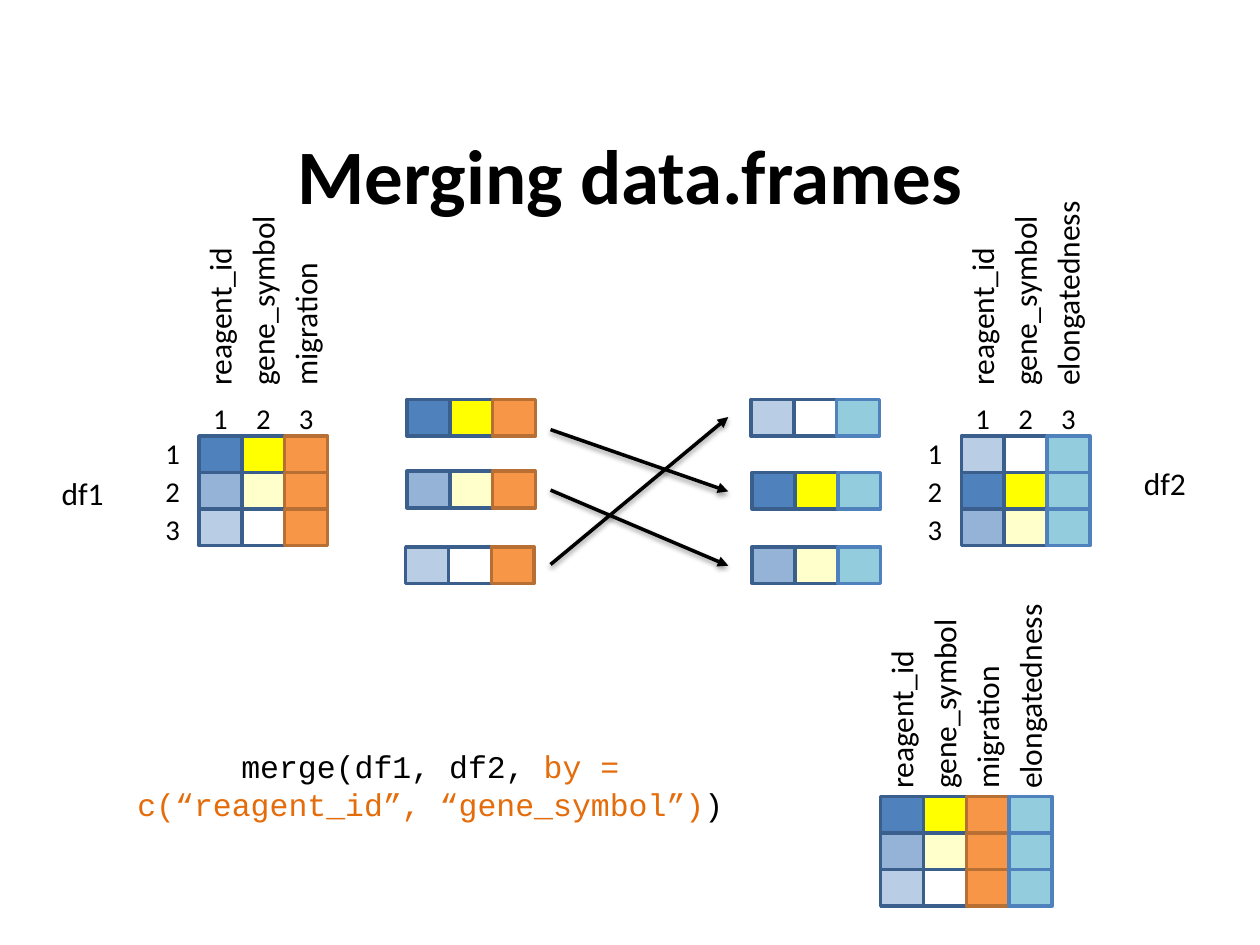
from lxml.etree import SubElement
from pptx import Presentation
from pptx.dml.color import RGBColor
from pptx.enum.shapes import MSO_CONNECTOR, MSO_SHAPE
from pptx.enum.text import MSO_ANCHOR, PP_ALIGN
from pptx.oxml.ns import qn
from pptx.util import Inches, Pt

BLACK = RGBColor(0x00, 0x00, 0x00)
WHITE = RGBColor(0xFF, 0xFF, 0xFF)
BLUE = RGBColor(0x4F, 0x81, 0xBD)
MID = RGBColor(0x95, 0xB3, 0xD7)
PALE = RGBColor(0xB9, 0xCD, 0xE5)
YELLOW = RGBColor(0xFF, 0xFF, 0x00)
CREAM = RGBColor(0xFF, 0xFF, 0xCC)
ORANGE = RGBColor(0xF7, 0x96, 0x46)
AQUA = RGBColor(0x93, 0xCD, 0xDD)
NAVY = RGBColor(0x3A, 0x5F, 0x8C)
RUST = RGBColor(0xB7, 0x6F, 0x34)
AMBER = RGBColor(0xE4, 0x6C, 0x0A)

EDGES = {ORANGE: RUST, AQUA: BLUE}
CELL_W, CELL_H = 0.34, 0.29

TITLE = "Merging data.frames"
KEYS = [(BLUE, YELLOW), (MID, CREAM), (PALE, WHITE)]
LEFT = [key + (ORANGE,) for key in KEYS]
RIGHT = [KEYS[i] + (AQUA,) for i in (2, 0, 1)]
MERGED = [row + (AQUA,) for row in LEFT]

WIDTHS = {"reagent_id": 1.5, "gene_symbol": 1.71,
          "migration": 1.5, "elongatedness": 1.71}
FRAMES = [
    (1.58, 3.46, LEFT, ["reagent_id", "gene_symbol", "migration"], True),
    (7.63, 3.46, RIGHT, ["reagent_id", "gene_symbol", "elongatedness"], True),
    (6.99, 6.32, MERGED,
     ["reagent_id", "gene_symbol", "migration", "elongatedness"], False),
]
STRIPS = [
    (3.23, 3.17, LEFT[0]), (3.23, 3.74, LEFT[1]), (3.22, 4.34, LEFT[2]),
    (5.96, 3.17, RIGHT[0]), (5.97, 3.75, RIGHT[1]), (5.97, 4.34, RIGHT[2]),
]
ARROWS = [(3.41, 3.9), (4.48, 3.31), (3.89, 4.49)]
NAMES = [("df1", 0.39, 3.71), ("df2", 8.98, 3.63)]
CODE = [("merge(df1, df2, ", BLACK),
        ("by = c(“reagent_id”, “gene_symbol”)", AMBER),
        (")", BLACK)]


def style(run, size, color=BLACK, font="Calibri", bold=False):
    run.font.name = font
    run.font.size = Pt(size)
    run.font.bold = bold
    run.font.color.rgb = color


def add_box(slide, x, y, w, h):
    box = slide.shapes.add_textbox(Inches(x), Inches(y), Inches(w), Inches(h))
    box.text_frame.word_wrap = True
    return box


def add_label(slide, text, x, y, w, h=0.4, size=18, align=PP_ALIGN.LEFT):
    box = add_box(slide, x, y, w, h)
    box.text_frame.text = text
    para = box.text_frame.paragraphs[0]
    para.alignment = align
    style(para.runs[0], size)
    return box


def add_digit(slide, num, x, y):
    add_label(slide, str(num), x, y, CELL_W, 0.37, 16.4, PP_ALIGN.CENTER)


def add_strip(slide, x, y, fills):
    for i, fill in enumerate(fills):
        cell = slide.shapes.add_shape(
            MSO_SHAPE.RECTANGLE, Inches(x + i * CELL_W), Inches(y),
            Inches(CELL_W), Inches(CELL_H))
        cell.shadow.inherit = False
        cell.fill.solid()
        cell.fill.fore_color.rgb = fill
        cell.line.color.rgb = EDGES.get(fill, NAVY)
        cell.line.width = Pt(2)


def add_frame(slide, x, y, rows, heads, digits):
    for i, row in enumerate(rows):
        add_strip(slide, x, y + i * CELL_H, row)
        if digits:
            add_digit(slide, i + 1, x - 0.38, y - 0.05 + i * 0.3)
    base = y - 0.3 if digits else y + 0.04
    for i, head in enumerate(heads):
        left = x + i * CELL_W
        if digits:
            add_digit(slide, i + 1, left, y - 0.33)
        wide = WIDTHS[head]
        mid = left + CELL_W / 2 - 0.01
        label = add_label(slide, head, mid - wide / 2, base - wide / 2 - 0.2, wide)
        label.rotation = 270


def add_arrow(slide, start, end):
    arrow = slide.shapes.add_connector(
        MSO_CONNECTOR.STRAIGHT, Inches(4.37), Inches(start),
        Inches(5.78), Inches(end))
    arrow.line.color.rgb = BLACK
    arrow.line.width = Pt(2)
    SubElement(arrow.line._get_or_add_ln(), qn("a:tailEnd"), type="triangle")
    effects = SubElement(arrow._element.spPr, qn("a:effectLst"))
    shadow = SubElement(effects, qn("a:outerShdw"), blurRad=str(Pt(3.1)),
                        dist=str(Pt(1.6)), dir="5400000", rotWithShape="0")
    shade = SubElement(shadow, qn("a:srgbClr"), val="000000")
    SubElement(shade, qn("a:alpha"), val="38000")


def add_title(slide):
    title = slide.shapes.title
    title.left, title.top = Inches(0.5), Inches(0.75)
    title.width, title.height = Inches(9), Inches(1.25)
    title.text_frame.text = TITLE
    title.text_frame.vertical_anchor = MSO_ANCHOR.MIDDLE
    para = title.text_frame.paragraphs[0]
    para.alignment = PP_ALIGN.CENTER
    style(para.runs[0], 44, bold=True)


def add_code(slide):
    para = add_box(slide, 0.84, 5.88, 5.15, 0.7).text_frame.paragraphs[0]
    para.alignment = PP_ALIGN.CENTER
    for text, color in CODE:
        run = para.add_run()
        run.text = text
        style(run, 18, color, "Courier New")


def main():
    prs = Presentation()
    prs.slide_width, prs.slide_height = Inches(10), Inches(7.5)
    slide = prs.slides.add_slide(prs.slide_layouts[5])
    add_title(slide)
    for frame in FRAMES:
        add_frame(slide, *frame)
    for strip in STRIPS:
        add_strip(slide, *strip)
    for start, end in ARROWS:
        add_arrow(slide, start, end)
    add_code(slide)
    for name, x, y in NAMES:
        add_label(slide, name, x, y, 0.54)
    prs.save("out.pptx")


if __name__ == "__main__":
    main()
